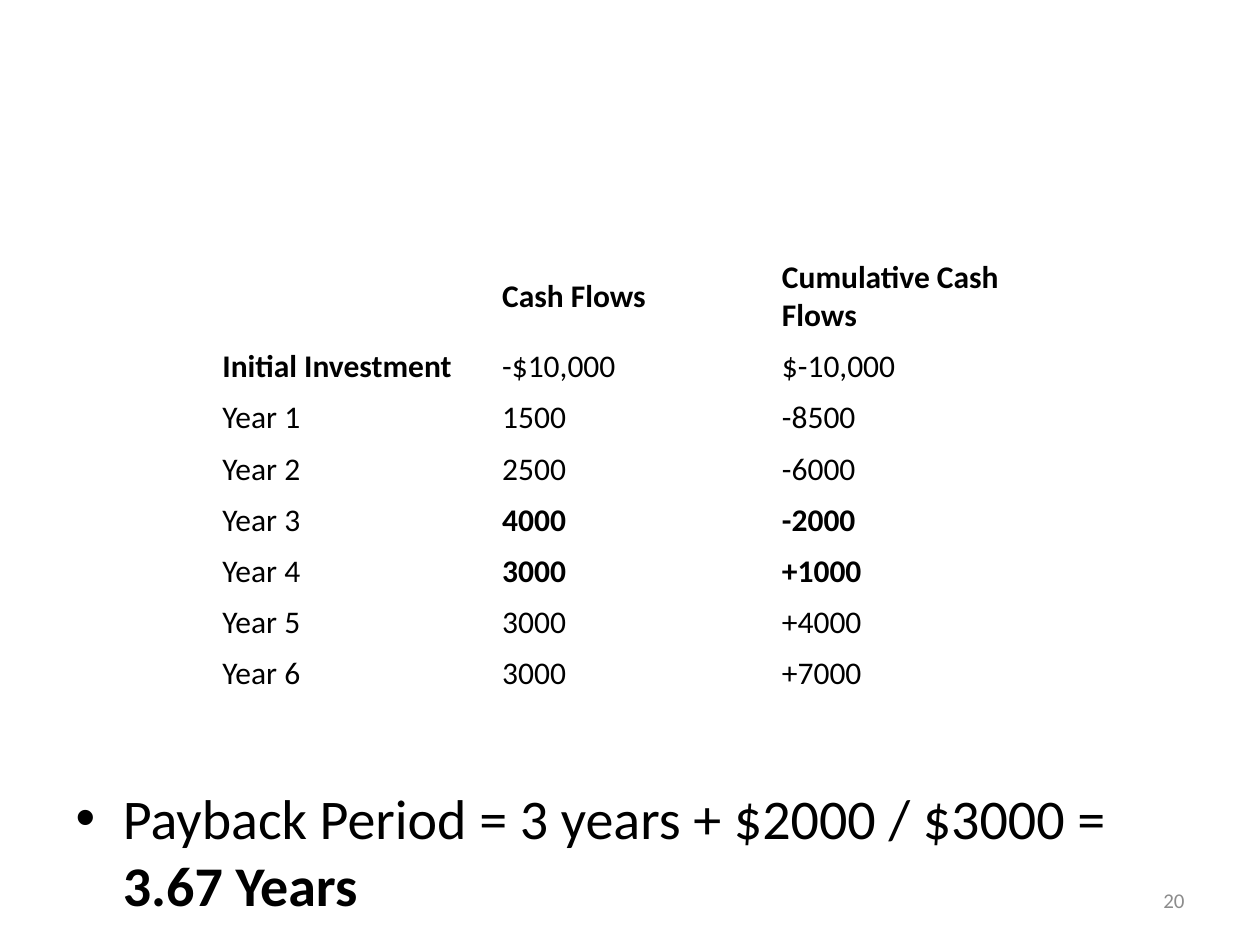
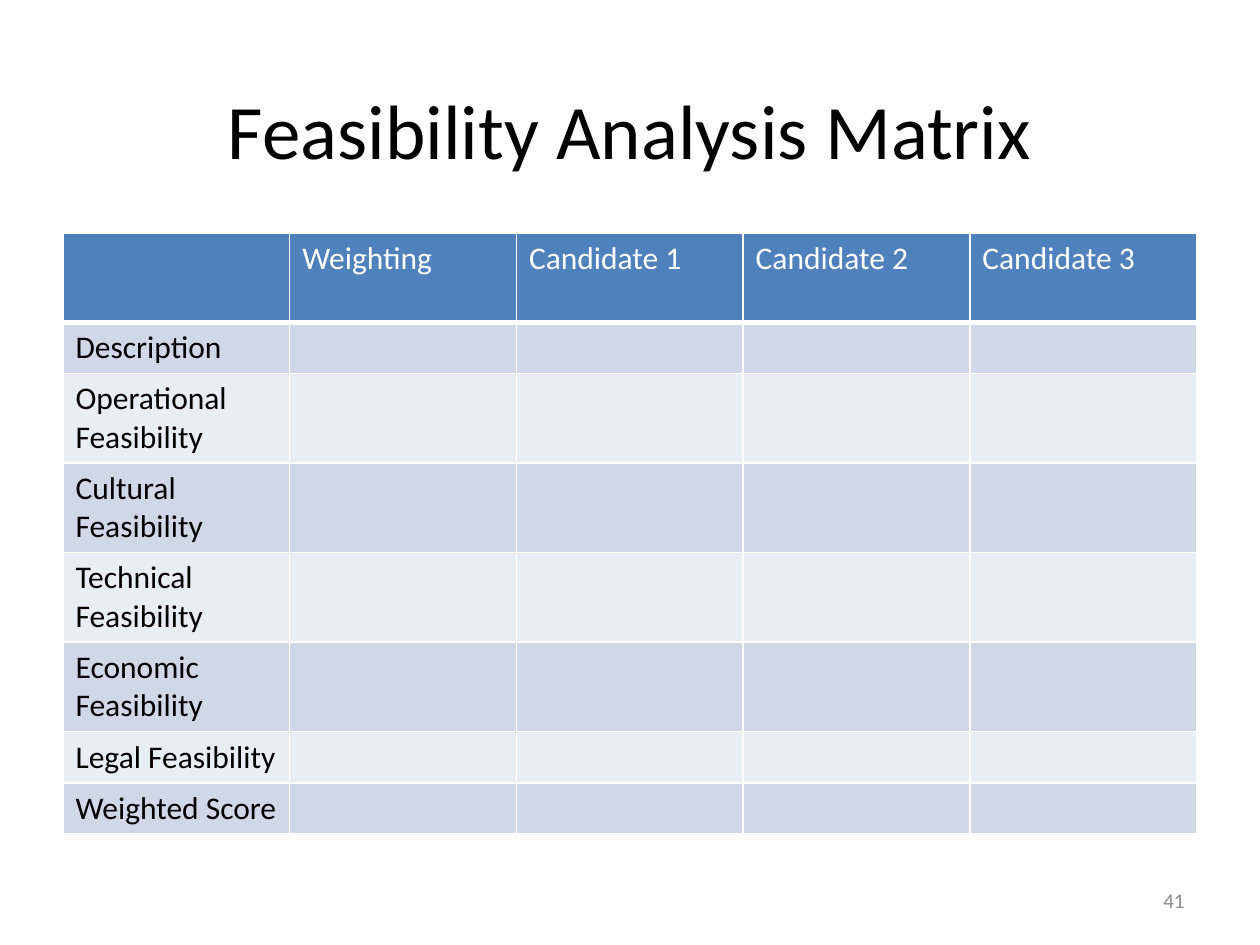
import pptx
import pptx.dml.color
import pptx.enum.text
import pptx.oxml.ns
import pptx.util
from lxml import etree

Cm = pptx.util.Cm
ALIGN = pptx.enum.text.PP_ALIGN
ANCHOR = pptx.enum.text.MSO_ANCHOR

FONT = "Calibri"
BLACK, WHITE, GREY, BLUE = "000000", "FFFFFF", "8C8C8C", "4F81BD"
BANDS = ("D0D8E8", "E9EDF4")
ONE_LINE, TWO_LINES = 1.02, 1.8  # row heights in cm

CASH_FLOWS = [
    ("", "Cash Flows", "Cumulative Cash Flows"),
    ("Initial Investment", "-$10,000", "$-10,000"),
    ("Year 1", "1500", "-8500"),
    ("Year 2", "2500", "-6000"),
    ("Year 3", "4000", "-2000"),
    ("Year 4", "3000", "+1000"),
    ("Year 5", "3000", "+4000"),
    ("Year 6", "3000", "+7000"),
]
BOLD_CELLS = {"Cash Flows", "Cumulative Cash Flows", "Initial Investment"}
PAYBACK_ROWS = ("Year 3", "Year 4")

MATRIX_HEADER = ("", "Weighting", "Candidate 1", "Candidate 2", "Candidate 3")
CRITERIA = [
    "Description", "Operational Feasibility", "Cultural Feasibility",
    "Technical Feasibility", "Economic Feasibility", "Legal Feasibility",
    "Weighted Score",
]
ONE_LINE_CRITERIA = ("Description", "Legal Feasibility", "Weighted Score")


def rgb(color):
    return pptx.dml.color.RGBColor.from_string(color)


def add_text(p, text, size=18, color=BLACK, bold=False, align=None):
    r = p.add_run()
    r.text = text
    r.font.name = FONT
    r.font.size = pptx.util.Pt(size)
    r.font.bold = bold
    r.font.color.rgb = rgb(color)
    if align is not None:
        p.alignment = align


def place(sp, left, top, width, height):
    sp.left, sp.top, sp.width, sp.height = map(Cm, (left, top, width, height))


def add_title(slide, text):
    sp = slide.shapes.title
    place(sp, 1.27, 1, 22.86, 3.18)
    tf = sp.text_frame
    tf.vertical_anchor = ANCHOR.MIDDLE
    add_text(tf.paragraphs[0], text, size=44, align=ALIGN.CENTER)


def add_slide_number(slide, number):
    sp = slide.shapes.add_textbox(Cm(18.2), Cm(17.65), Cm(5.93), Cm(1.01))
    tf = sp.text_frame
    tf.word_wrap = True
    tf.vertical_anchor = ANCHOR.MIDDLE
    add_text(tf.paragraphs[0], str(number), size=12, color=GREY, align=ALIGN.RIGHT)


def add_plain_table(slide, left, top, col_width, heights, n_cols):
    frame = slide.shapes.add_table(len(heights), n_cols, Cm(left), Cm(top),
                                   Cm(col_width * n_cols), Cm(sum(heights)))
    table = frame.table
    table.first_row = table.horz_banding = False
    for col in table.columns:
        col.width = Cm(col_width)
    for row, height in zip(table.rows, heights):
        row.height = Cm(height)
    return table


def set_borders(cell, color, bottom=1):
    tc_pr = cell._tc.get_or_add_tcPr()
    for side, width in (("L", 1), ("R", 1), ("T", 1), ("B", bottom)):
        ln = etree.SubElement(tc_pr, pptx.oxml.ns.qn("a:ln" + side),
                              w=str(pptx.util.Pt(width)))
        fill = etree.SubElement(ln, pptx.oxml.ns.qn("a:solidFill"))
        etree.SubElement(fill, pptx.oxml.ns.qn("a:srgbClr"), val=color)


def fill_cell(cell, text, fill=None, anchor=ANCHOR.TOP, **fmt):
    cell.vertical_anchor = anchor
    if fill:
        cell.fill.solid()
        cell.fill.fore_color.rgb = rgb(fill)
    else:
        cell.fill.background()
    if text:
        add_text(cell.text_frame.paragraphs[0], text, **fmt)


def build_payback_slide(prs):
    slide = prs.slides.add_slide(prs.slide_layouts[1])
    title = slide.shapes.title
    title.element.getparent().remove(title.element)

    # Payback result
    body = slide.placeholders[1]
    place(body, 1.27, 15.67, 22.86, 3)
    p = body.text_frame.paragraphs[0]
    p.space_before = pptx.util.Pt(0)
    add_text(p, "Payback Period = 3 years + $2000 / $3000 = ", size=32)
    add_text(p, "3.67 Years", size=32, bold=True)

    # Cash flow table
    heights = [TWO_LINES] + [ONE_LINE] * (len(CASH_FLOWS) - 1)
    table = add_plain_table(slide, 4.23, 5.08, 5.64, heights, 3)
    for i, values in enumerate(CASH_FLOWS):
        for j, value in enumerate(values):
            bold = value in BOLD_CELLS or (j > 0 and values[0] in PAYBACK_ROWS)
            fill_cell(table.cell(i, j), value, anchor=ANCHOR.MIDDLE, bold=bold)

    add_slide_number(slide, 20)


def build_matrix_slide(prs):
    slide = prs.slides.add_slide(prs.slide_layouts[5])
    add_title(slide, "Feasibility Analysis Matrix")

    # Scoring matrix
    n_cols = len(MATRIX_HEADER)
    heights = [TWO_LINES] + [ONE_LINE if name in ONE_LINE_CRITERIA else TWO_LINES
                             for name in CRITERIA]
    table = add_plain_table(slide, 1.27, 4.7, 4.57, heights, n_cols)
    for j, text in enumerate(MATRIX_HEADER):
        set_borders(table.cell(0, j), WHITE, bottom=3)
        fill_cell(table.cell(0, j), text, fill=BLUE, color=WHITE)
    for i, name in enumerate(CRITERIA):
        for j in range(n_cols):
            cell = table.cell(i + 1, j)
            set_borders(cell, WHITE)
            fill_cell(cell, "" if j else name, fill=BANDS[i % 2])

    add_slide_number(slide, 41)


def main():
    prs = pptx.Presentation()
    prs.slide_width, prs.slide_height = Cm(25.4), Cm(19.05)
    build_payback_slide(prs)
    build_matrix_slide(prs)
    prs.save("out.pptx")


if __name__ == "__main__":
    main()
